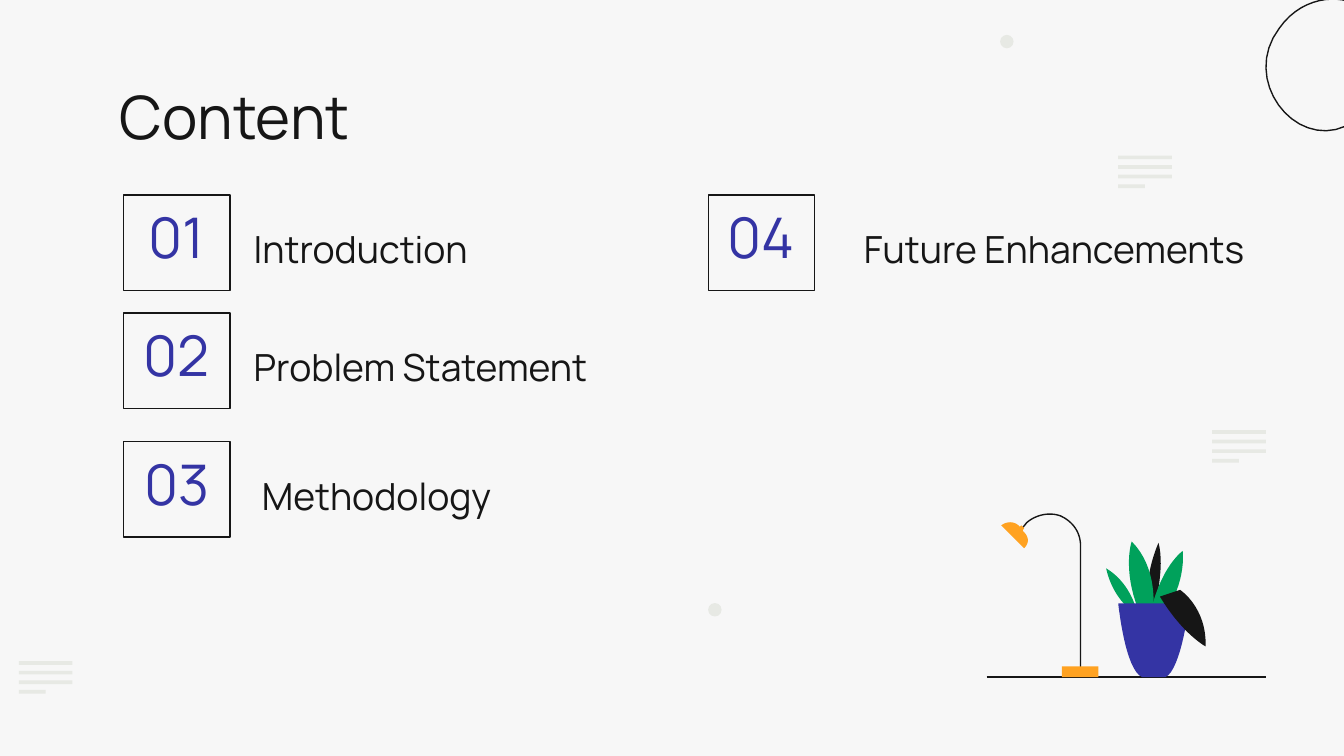
from dataclasses import dataclass

from lxml import etree
from pptx import Presentation
from pptx.dml.color import RGBColor
from pptx.enum.shapes import MSO_CONNECTOR, MSO_SHAPE
from pptx.enum.text import MSO_ANCHOR, MSO_AUTO_SIZE, PP_ALIGN
from pptx.oxml.ns import qn
from pptx.util import Pt

RECTANGLE, OVAL = MSO_SHAPE.RECTANGLE, MSO_SHAPE.OVAL
STRAIGHT = MSO_CONNECTOR.STRAIGHT
TOP, BOTTOM = MSO_ANCHOR.TOP, MSO_ANCHOR.BOTTOM
LEFT, CENTER = PP_ALIGN.LEFT, PP_ALIGN.CENTER
NO_AUTOFIT = MSO_AUTO_SIZE.NONE
TITLE_ONLY = 5
CURVE_STEPS = 16
PATH_SCALE = 100


@dataclass(frozen=True)
class Theme:
    font: str = "Manrope"
    paper: RGBColor = RGBColor.from_string("F7F7F7")
    ink: RGBColor = RGBColor.from_string("161616")
    accent: RGBColor = RGBColor.from_string("3434A4")
    mist: RGBColor = RGBColor.from_string("E7E9E4")
    leaf: RGBColor = RGBColor.from_string("00A15B")
    lamp: RGBColor = RGBColor.from_string("FFA221")
    title_size: int = 32
    number_size: int = 30
    topic_size: int = 20
    stroke: float = 0.75


THEME = Theme()

AGENDA = [
    ("01", "Introduction", (66.2, 104.4), 62.6),
    ("02", "Problem Statement", (66.2, 167.6), 62.6),
    ("03", "Methodology", (66.2, 236.7), 67),
    ("04", "Future Enhancements", (379.4, 104.4), 76.3),
]
DOTS = [(535.8, 18.7), (379.4, 323.1)]
TEXT_MARKS = [(10.1, 354.2), (649.4, 230.4), (599, 83.3)]

RING = [(52.6, 5), (43.9, -2.9, 20.9, -4.3, 7.2, 15.1),
        (-13.7, 42.5, 15.1, 79.9, 42.5, 67.7)]
PLANT = [
    ("ink", [(90, 50.4), (90, 50.4, 95.8, 29.5, 92.2, 15.8),
             (92.2, 15.8, 85, 31, 85.7, 50.4)]),
    ("leaf", [(95.8, 53.3), (95.8, 53.3, 106.6, 38.2, 105.1, 20.2),
              (105.1, 20.2, 93.6, 28.1, 87.8, 53.3)]),
    ("leaf", [(89.3, 51.8), (89.3, 51.8, 92.2, 29.5, 77.8, 15.1),
              (77.8, 15.1, 72.7, 29.5, 81.4, 51.8)]),
    ("leaf", [(79.9, 50.4), (79.9, 50.4, 76.3, 36.7, 64.1, 29.5),
              (64.1, 29.5, 66.2, 41.8, 75.6, 50.4)]),
    ("accent", [(108.7, 48.2), (108.7, 48.2, 104.4, 84.2, 95.8, 87.8),
                (83.5, 87.8), (74.2, 84.2, 70.6, 48.2, 70.6, 48.2)]),
    ("ink", [(103.7, 41), (103.7, 41, 118.1, 50.4, 117.4, 71.3),
             (117.4, 71.3, 105.1, 64.8, 92.9, 44.6)]),
]
LAMP_ARM = [(50.4, 87.8), (50.4, 17.3), (50.4, 10.1, 46.1, 4.3, 39.6, 1.4),
            (33.8, -0.7, 26.6, 0.7, 21.6, 5), (18.7, 8.6)]
LAMP_SHADE = [(18, 7.2), (18.7, 6.5), (20.2, 7.9), (19.4, 9.4),
              (25.2, 14.4, 20.2, 18.7, 20.2, 18.7), (7.9, 6.5),
              (7.9, 6.5, 13, 2.2, 18, 7.2)]


def assign(target, values):
    for attribute, value in values.items():
        setattr(target, attribute, value)


def paint(shape, fill=None, line=None):
    shape.shadow.inherit = False
    if fill is None:
        shape.fill.background()
    else:
        shape.fill.solid()
        shape.fill.fore_color.rgb = fill
    if line is None:
        shape.line.fill.background()
    else:
        shape.line.color.rgb = line
        shape.line.width = Pt(THEME.stroke)


def write(shape, wording, size, color, bottom=7.2, anchor=TOP, align=LEFT, spacing=1.15):
    frame = shape.text_frame
    assign(frame, {
        "auto_size": NO_AUTOFIT, "word_wrap": True, "vertical_anchor": anchor,
        "margin_left": Pt(7.2), "margin_right": Pt(7.2),
        "margin_top": Pt(7.2), "margin_bottom": Pt(bottom),
    })
    paragraph = frame.paragraphs[0]
    assign(paragraph, {"alignment": align, "line_spacing": spacing})
    run = paragraph.add_run()
    run.text = wording
    assign(run.font, {"name": THEME.font, "size": Pt(size), "bold": False})
    run.font.color.rgb = color


def trace(segments):
    points = [segments[0]]
    for segment in segments[1:]:
        if len(segment) == 2:
            points.append(segment)
            continue
        x0, y0 = points[-1]
        x1, y1, x2, y2, x3, y3 = segment
        for step in range(1, CURVE_STEPS + 1):
            t = step / CURVE_STEPS
            u = 1 - t
            a, b, c, d = u ** 3, 3 * u * u * t, 3 * u * t * t, t ** 3
            points.append((a * x0 + b * x1 + c * x2 + d * x3,
                           a * y0 + b * y1 + c * y2 + d * y3))
    return points


def add_outline(slide, origin, segments, fill=None, line=None):
    points = [(x * PATH_SCALE, y * PATH_SCALE) for x, y in trace(segments)]
    builder = slide.shapes.build_freeform(*points[0], scale=Pt(1) / PATH_SCALE)
    builder.add_line_segments(points[1:], close=fill is not None)
    paint(builder.convert_to_shape(Pt(origin[0]), Pt(origin[1])), fill, line)


def add_preset(slide, kind, left, top, width, height, fill=None, line=None):
    shape = slide.shapes.add_shape(kind, Pt(left), Pt(top), Pt(width), Pt(height))
    paint(shape, fill, line)
    return shape


def add_text_mark(slide, left, top):
    for row, width in enumerate((28.8, 28.8, 28.8, 14.4)):
        add_preset(slide, RECTANGLE, left, top + row * 5.15, width, 2, THEME.mist)


def add_backdrop(slide):
    add_outline(slide, (678.2, 0), RING, line=THEME.ink)
    for left, top in DOTS:
        add_preset(slide, OVAL, left, top, 7.2, 7.2, THEME.mist)
    for left, top in TEXT_MARKS:
        add_text_mark(slide, left, top)


def add_heading(slide, left, top, width, height):
    heading = slide.shapes.title
    assign(heading, {"left": Pt(left), "top": Pt(top),
                     "width": Pt(width), "height": Pt(height)})
    write(heading, "Content", THEME.title_size, THEME.ink, spacing=1.0)


def add_agenda_item(slide, left, top, number, topic, indent):
    badge = add_preset(slide, RECTANGLE, left, top, 57, 51.1, line=THEME.ink)
    write(badge, number, THEME.number_size, THEME.accent, 10.8, BOTTOM, CENTER)
    label = slide.shapes.add_textbox(Pt(left + indent), Pt(top + 6.2), Pt(231), Pt(39))
    write(label, topic, THEME.topic_size, THEME.ink)


def add_desk_scene(slide, left, top, width, height):
    ground = slide.shapes.add_connector(
        STRAIGHT, Pt(left), Pt(top + height), Pt(left + width), Pt(top + height))
    ground.line.color.rgb = THEME.ink
    ground.line.width = Pt(THEME.stroke)
    etree.SubElement(ground._element.spPr, qn("a:effectLst"))
    for color, segments in PLANT:
        add_outline(slide, (left, top), segments, getattr(THEME, color))
    add_outline(slide, (left, top), LAMP_ARM, line=THEME.ink)
    add_outline(slide, (left, top), LAMP_SHADE, THEME.lamp)
    add_preset(slide, RECTANGLE, left + 40.3, top + height - 5.8, 19.6, 5.8, THEME.lamp)


def main():
    deck = Presentation()
    assign(deck, {"slide_width": Pt(720), "slide_height": Pt(405)})
    slide = deck.slides.add_slide(deck.slide_layouts[TITLE_ONLY])
    slide.background.fill.solid()
    slide.background.fill.fore_color.rgb = THEME.paper
    add_backdrop(slide)
    add_heading(slide, 56.9, 35.3, 607, 45.4)
    for number, topic, (left, top), indent in AGENDA:
        add_agenda_item(slide, left, top, number, topic, indent)
    add_desk_scene(slide, 528.5, 275, 149.7, 87.8)
    deck.save("out.pptx")


if __name__ == "__main__":
    main()
